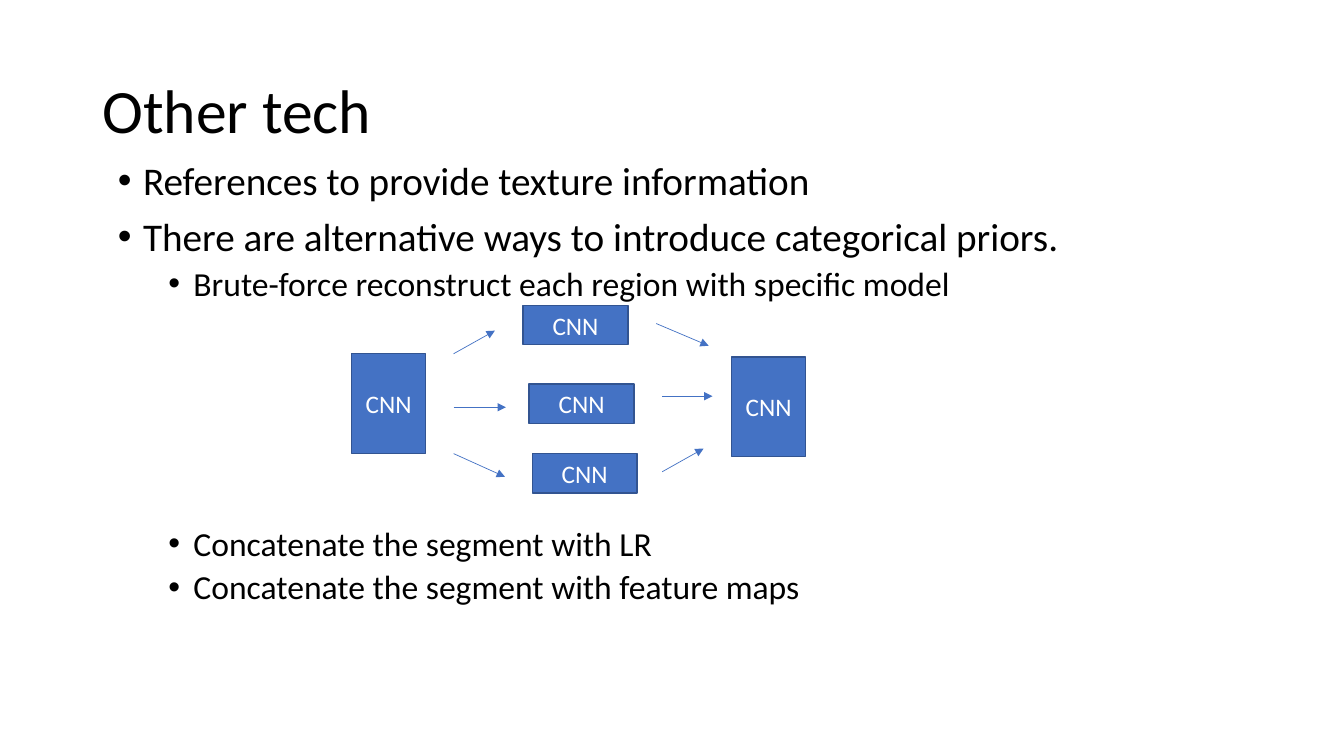
from dataclasses import dataclass

from lxml import etree
from pptx import Presentation
from pptx.dml.color import RGBColor
from pptx.enum.shapes import MSO_CONNECTOR, MSO_SHAPE
from pptx.enum.text import MSO_ANCHOR, MSO_AUTO_SIZE, PP_ALIGN
from pptx.oxml.ns import qn
from pptx.util import Pt

RECTANGLE = MSO_SHAPE.RECTANGLE
STRAIGHT = MSO_CONNECTOR.STRAIGHT
TOP, MIDDLE = MSO_ANCHOR.TOP, MSO_ANCHOR.MIDDLE
LEFT, CENTER = PP_ALIGN.LEFT, PP_ALIGN.CENTER
NO_FIT = MSO_AUTO_SIZE.NONE


@dataclass(frozen=True)
class Theme:
    font: str = "Calibri"
    text: RGBColor = RGBColor(0, 0, 0)
    label: RGBColor = RGBColor(255, 255, 255)
    accent: RGBColor = RGBColor(0x44, 0x72, 0xC4)
    outline: RGBColor = RGBColor(0x32, 0x54, 0x91)
    title_size: int = 44
    list_sizes: tuple = (28, 24)
    label_size: int = 18
    line_spacing: float = 0.9


class SlideBuilder:
    def __init__(self, page, theme):
        self.page = page
        self.theme = theme

    def style(self, para, size, color, align):
        para.alignment = align
        para.font.name = self.theme.font
        para.font.size = Pt(size)
        para.font.color.rgb = color

    def place(self, box, left, top, width, height, anchor):
        box.left, box.top, box.width, box.height = map(Pt, (left, top, width, height))
        frame = box.text_frame
        frame.word_wrap = True
        frame.auto_size = NO_FIT
        frame.vertical_anchor = anchor
        return frame

    def title(self, text, *bounds):
        frame = self.place(self.page.shapes.title, *bounds, MIDDLE)
        frame.text = text
        para = frame.paragraphs[0]
        para.line_spacing = self.theme.line_spacing
        self.style(para, self.theme.title_size, self.theme.text, LEFT)

    def bullets(self, items, *bounds):
        frame = self.place(self.page.placeholders[1], *bounds, TOP)
        frame.text = "\n".join(text for text, level, space in items)
        for para, (text, level, space) in zip(frame.paragraphs, items):
            para.level = level
            para.line_spacing = self.theme.line_spacing
            para.space_before = Pt(space)
            para.space_after = Pt(0)
            properties = para._p.get_or_add_pPr()
            properties.set("marL", str(Pt(18 + 36 * level)))
            properties.set("indent", str(Pt(-18)))
            etree.SubElement(properties, qn("a:buFont"), typeface="Arial")
            etree.SubElement(properties, qn("a:buChar"), char="•")
            self.style(para, self.theme.list_sizes[level], self.theme.text, LEFT)

    def block(self, text, *bounds):
        box = self.page.shapes.add_shape(RECTANGLE, *map(Pt, bounds))
        box.shadow.inherit = False
        box.fill.solid()
        box.fill.fore_color.rgb = self.theme.accent
        box.line.color.rgb = self.theme.outline
        box.line.width = Pt(1)
        frame = box.text_frame
        frame.word_wrap = True
        frame.vertical_anchor = MIDDLE
        frame.text = text
        self.style(frame.paragraphs[0], self.theme.label_size, self.theme.label, CENTER)

    def arrow(self, *ends):
        link = self.page.shapes.add_connector(STRAIGHT, *map(Pt, ends))
        link.line.color.rgb = self.theme.accent
        link.line.width = Pt(0.5)
        etree.SubElement(link.line._get_or_add_ln(), qn("a:tailEnd"), type="triangle")
        etree.SubElement(link._element.spPr, qn("a:effectLst"))


def main():
    deck = Presentation()
    deck.slide_width, deck.slide_height = Pt(960), Pt(540)
    builder = SlideBuilder(deck.slides.add_slide(deck.slide_layouts[1]), Theme())

    builder.title("Other tech", 66, 28.8, 828, 104.4)
    diagram_gap = 160
    builder.bullets([
        ("References to provide texture information", 0, 0),
        ("There are alternative ways to introduce categorical priors.", 0, 10),
        ("Brute-force reconstruct each region with specific model", 1, 5),
        ("Concatenate the segment with LR", 1, diagram_gap),
        ("Concatenate the segment with feature maps", 1, 5),
    ], 77, 111.6, 828, 342.7)

    split_arrows = [
        (324, 252.7, 353.5, 236.2),
        (324, 290.9, 361.4, 290.9),
        (324, 324, 360.7, 340.6),
    ]
    merge_arrows = [
        (473, 337, 502.6, 320.4),
        (473, 283, 509, 283),
        (468.7, 231.1, 506.2, 247),
    ]
    for ends in split_arrows + merge_arrows:
        builder.arrow(*ends)

    end_size, branch_size = (52.6, 71.3), (74.9, 28.1)
    end_corners = [(251.3, 252.7), (522.7, 254.9)]
    branch_corners = [(373.7, 218.2), (378, 274.3), (380.2, 324)]
    for corners, size in ((end_corners, end_size), (branch_corners, branch_size)):
        for corner in corners:
            builder.block("CNN", *corner, *size)

    deck.save("out.pptx")


if __name__ == "__main__":
    main()
